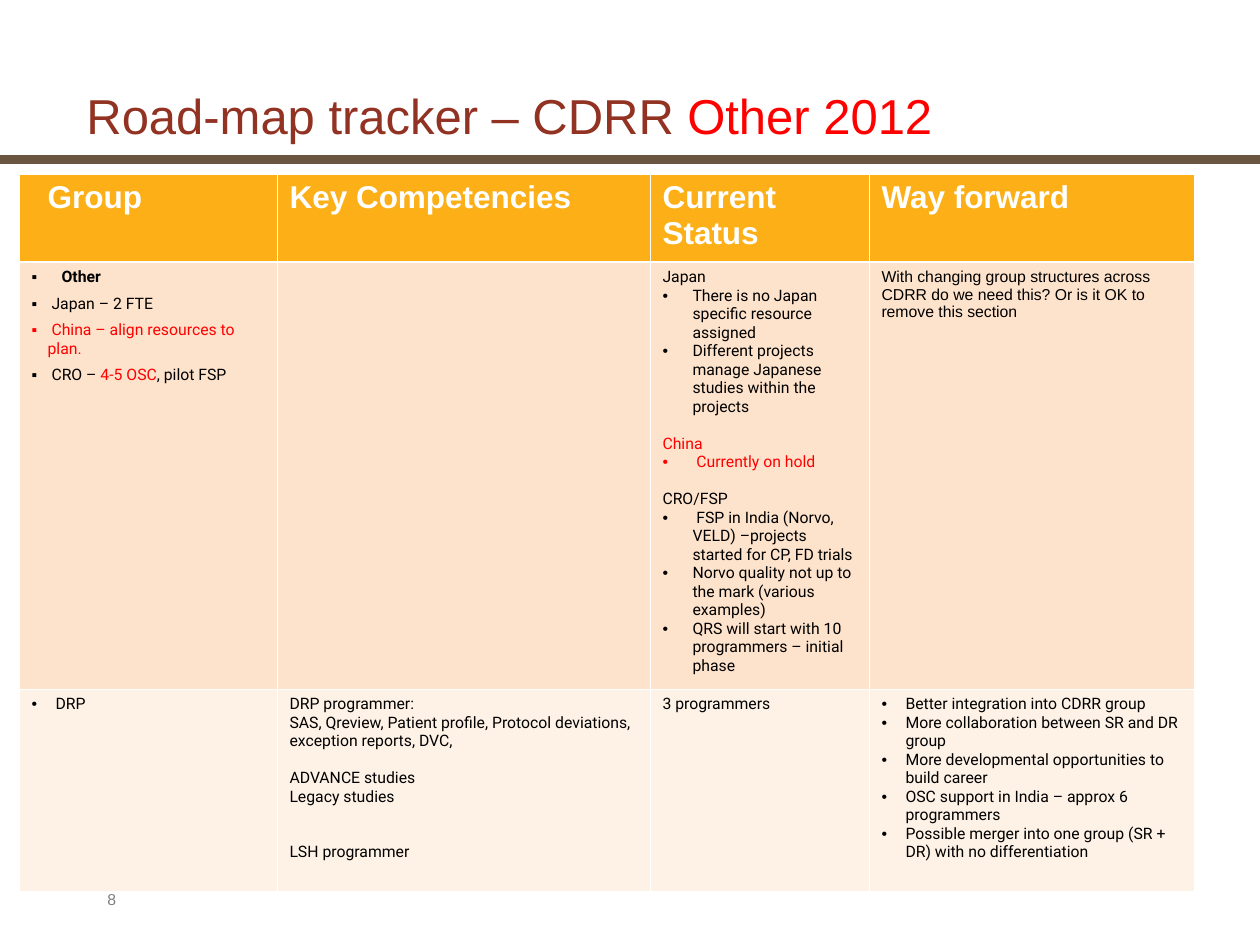
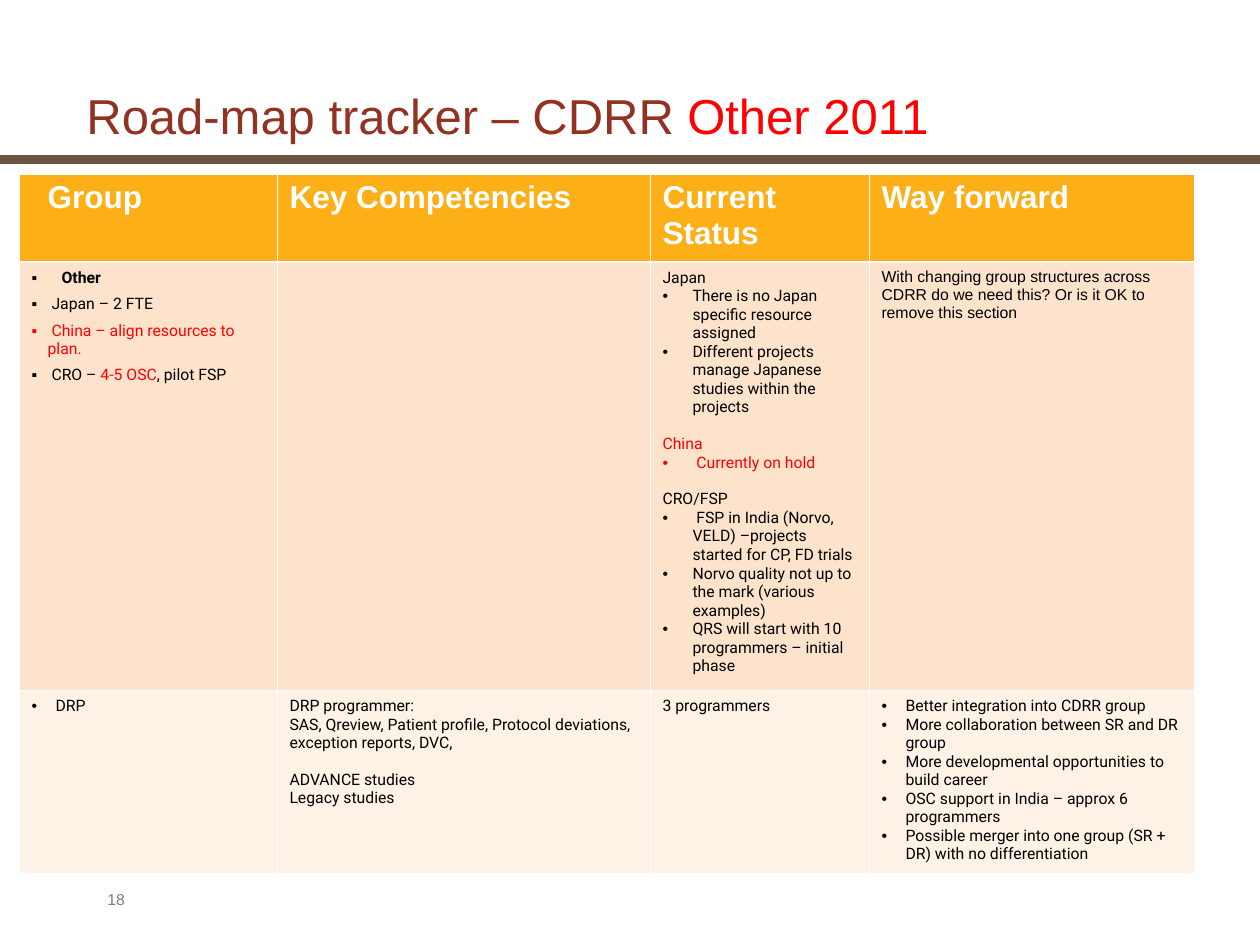
from lxml import etree
from pptx import Presentation, util as u
from pptx.dml import color
from pptx.enum import shapes, text
from pptx.oxml import ns

SCALE = u.Inches(1) / 126
BROWN, RUST, RED, BLACK, WHITE, GREY = "6A5540", "923222", "FF0000", "000000", "FFFFFF", "7F7F7F"
ROW_FILLS = ["FCAF17", "FEE3CC", "FEF2E7"]
THIN, THICK = 0.45, 1.47
BLANK_LINE = 10.5  # points taken by one line of body text


def px(length):
    return u.Emu(round(length * SCALE))


def rgb(value):
    return color.RGBColor.from_string(value)


def apply(target, values):
    for name, value in values.items():
        setattr(target, name, value)


def add_xml(parent, tag, **attributes):
    return etree.SubElement(parent, ns.qn(tag), attributes)


def line(*runs, bullet=None, margin=0, hanging=0, **spacing):
    """One paragraph; a run is a string or a (string, format) pair."""
    pairs = [(run, {}) if isinstance(run, str) else run for run in runs]
    return {"runs": pairs, "bullet": bullet, "margin": margin,
            "hanging": hanging, "spacing": spacing}


class Deck:
    body = {"size": 9, "name": "Roboto", "bold": False, "colour": BLACK}
    header = {"size": 18, "name": "Arial", "bold": True, "colour": WHITE}
    title = {"size": 28, "name": "Arial", "bold": False, "colour": RUST}
    footer = {"size": 9, "name": "Arial", "bold": False, "colour": GREY}

    def __init__(self):
        self.presentation = Presentation()
        apply(self.presentation, {"slide_width": px(1260), "slide_height": px(945)})
        self.slide = None

    def add_slide(self):
        self.slide = self.presentation.slides.add_slide(self.presentation.slide_layouts[6])

    def fill_text(self, frame, lines, style):
        for index, item in enumerate(lines):
            paragraph = frame.paragraphs[0] if index == 0 else frame.add_paragraph()
            properties = paragraph._p.get_or_add_pPr()
            properties.set("marL", str(px(item["margin"])))
            properties.set("indent", str(px(-item["hanging"])))
            first_colour = item["runs"][0][1].get("colour", style["colour"])
            if item["bullet"]:
                add_xml(add_xml(properties, "a:buClr"), "a:srgbClr", val=first_colour)
                add_xml(properties, "a:buFont", typeface="Arial")
                add_xml(properties, "a:buChar", char=item["bullet"])
            else:
                add_xml(properties, "a:buNone")
            for name, value in item["spacing"].items():
                setattr(paragraph, name, value if name == "line_spacing" else u.Pt(value))
            for words, changes in item["runs"]:
                run = paragraph.add_run()
                run.text = words
                values = {**style, **changes}
                run.font.color.rgb = rgb(values.pop("colour"))
                values["size"] = u.Pt(values["size"])
                apply(run.font, values)

    def text_box(self, left, top, width, height, lines, style, anchor):
        box = self.slide.shapes.add_textbox(px(left), px(top), px(width), px(height))
        apply(box.text_frame, {"word_wrap": True, "vertical_anchor": anchor})
        self.fill_text(box.text_frame, lines, style)

    def band(self, left, top, width, height, fill):
        shape = self.slide.shapes.add_shape(
            shapes.MSO_SHAPE.RECTANGLE, px(left), px(top), px(width), px(height))
        shape.shadow.inherit = False
        shape.fill.solid()
        shape.fill.fore_color.rgb = rgb(fill)
        shape.line.fill.background()

    def border(self, cell, **widths):
        properties = cell._tc.get_or_add_tcPr()
        for position, (side, width) in enumerate(widths.items()):
            edge = etree.Element(ns.qn(f"a:ln{side}"), w=str(u.Pt(width)))
            add_xml(add_xml(edge, "a:solidFill"), "a:srgbClr", val=WHITE)
            properties.insert(position, edge)

    def table(self, left, top, widths, heights, rows):
        table = self.slide.shapes.add_table(
            len(heights), len(widths), px(left), px(top), px(sum(widths)), px(sum(heights))).table
        apply(table, {"first_row": False, "horz_banding": False})
        for column, width in zip(table.columns, widths):
            column.width = px(width)
        for index, (row, height) in enumerate(zip(table.rows, heights)):
            row.height = px(height)
            for cell, lines in zip(row.cells, rows[index]):
                cell.fill.solid()
                cell.fill.fore_color.rgb = rgb(ROW_FILLS[index])
                self.border(cell, L=THIN, R=THIN, T=THICK if index == 1 else THIN,
                            B=THICK if index == 0 else THIN)
                self.fill_text(cell.text_frame, lines, self.body if index else self.header)


def square(*runs, margin=16):
    return line(*runs, bullet="▪", margin=margin, hanging=margin, space_after=4.5)


def dots(margin, *items):
    return [line(item, bullet="•", margin=margin, hanging=margin) for item in items]


def red(words):
    return words, {"colour": RED}


# Table content shared by both years
HEADER_ROW = [
    [line("Group", margin=16)],
    [line("Key Competencies")],
    [line("Current Status")],
    [line("Way forward")],
]
OTHER_ROW = [
    [square(("Other", {"bold": True}), margin=30),
     square(" Japan – 2 FTE"),
     square(red(" China – align resources to plan.")),
     square(" CRO – ", red("4-5 OSC"), ", pilot FSP")],
    [],
    [line("Japan"),
     *dots(30, "There is no Japan specific resource assigned",
           "Different projects manage Japanese studies within the projects"),
     line(red("China"), space_before=BLANK_LINE),
     *dots(30, red(" Currently on hold")),
     line("CRO/FSP", space_before=BLANK_LINE),
     *dots(30, " FSP in India (Norvo, VELD) –projects started for CP, FD trials",
           "Norvo quality not up to the mark (various examples)",
           "QRS will start with 10 programmers – initial phase")],
    [line(("With changing group structures across CDRR do we need this? "
           "Or is it OK to remove this section", {"name": "Arial"}))],
]
DRP_COMPETENCIES = [
    line("DRP programmer:"),
    line("SAS, Qreview, Patient profile, Protocol deviations, exception reports, DVC,"),
    line("ADVANCE studies", space_before=BLANK_LINE),
    line("Legacy studies"),
]
LSH_COMPETENCY = line("LSH programmer", space_before=2 * BLANK_LINE)
DRP_WAY_FORWARD = dots(
    24, "Better integration into CDRR group",
    "More collaboration between SR and DR group",
    "More developmental opportunities to build career",
    "OSC support in India – approx 6 programmers",
    "Possible merger into one group (SR + DR) with no differentiation")


def add_tracker(deck, year, number, competencies, last_height):
    deck.add_slide()
    # Band under the title
    deck.band(0, 155, 1260, 9, BROWN)
    # Tracker table
    drp_row = [dots(24, "DRP"), competencies, [line("3 programmers")], DRP_WAY_FORWARD]
    deck.table(19, 174, [258, 373, 219, 325], [88, 427, last_height],
               [HEADER_ROW, OTHER_ROW, drp_row])
    # Slide number and title
    deck.text_box(95, 882, 892, 34, [line(number)], deck.footer, text.MSO_ANCHOR.MIDDLE)
    heading = line("Road-map tracker – CDRR ", red(f"Other {year}"), line_spacing=0.95)
    deck.text_box(74, 84, 1143, 68, [heading], deck.title, text.MSO_ANCHOR.BOTTOM)


def main():
    deck = Deck()
    add_tracker(deck, 2012, "8", DRP_COMPETENCIES + [LSH_COMPETENCY], 202)
    add_tracker(deck, 2011, "18", DRP_COMPETENCIES, 183)
    deck.presentation.save("out.pptx")


if __name__ == "__main__":
    main()
